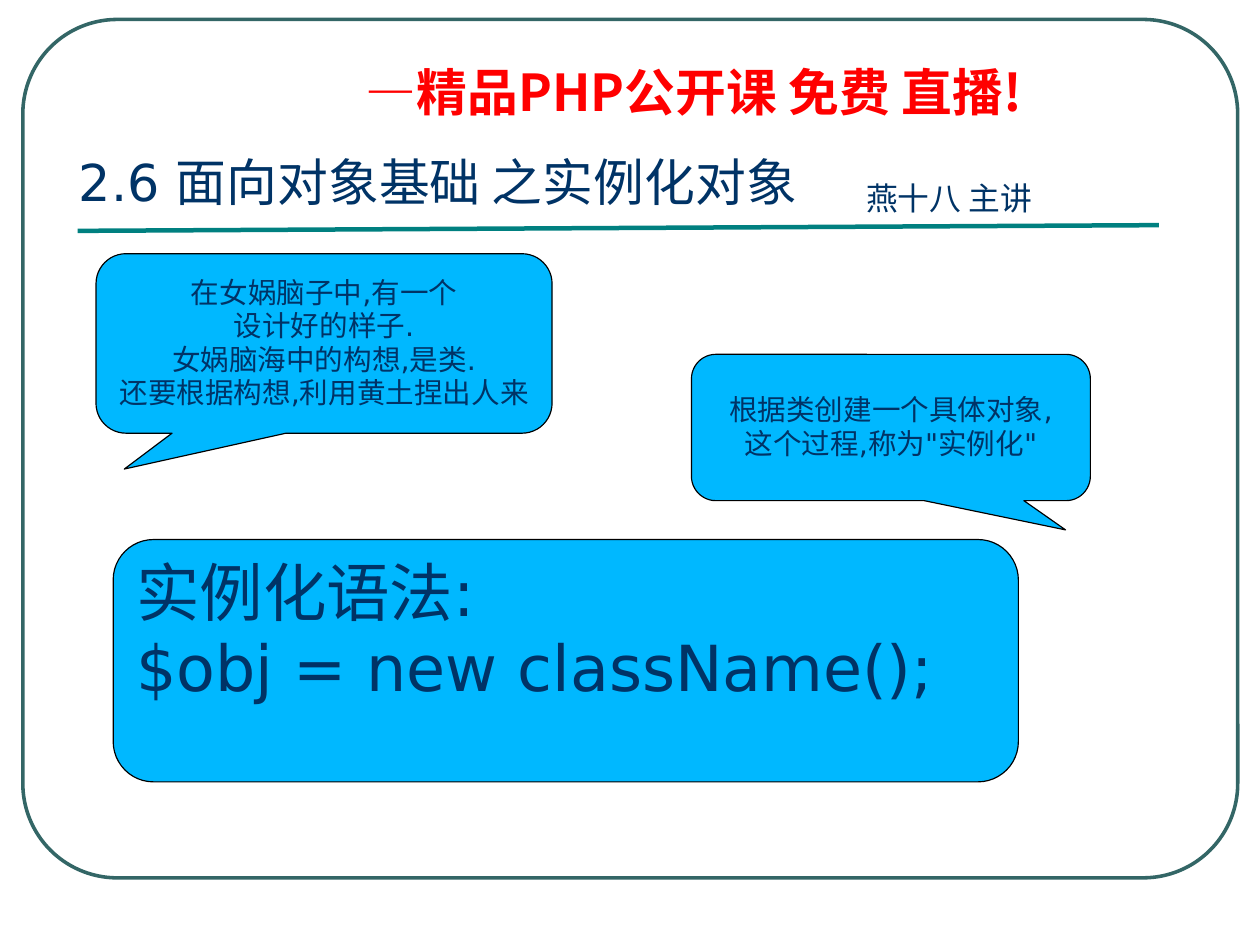
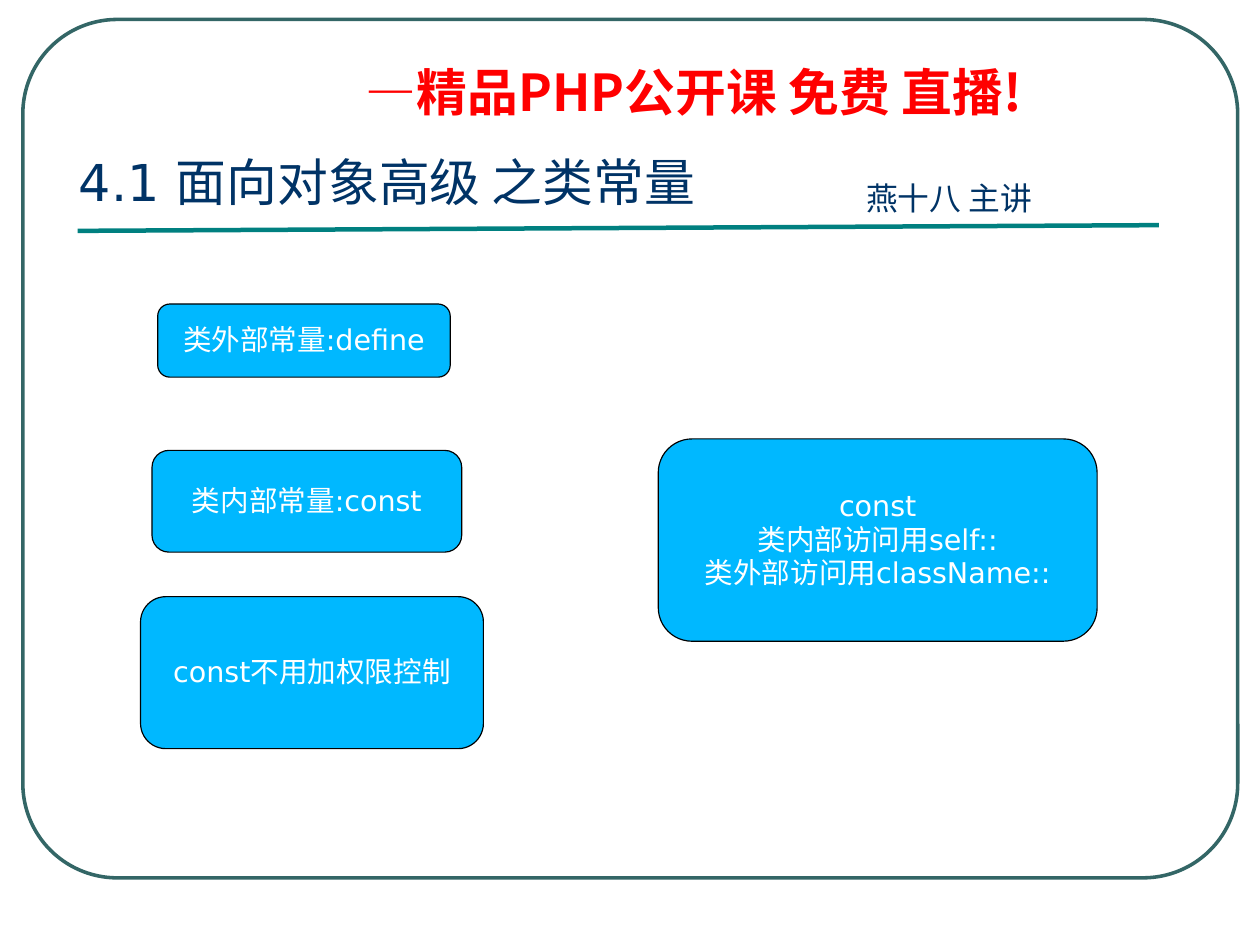
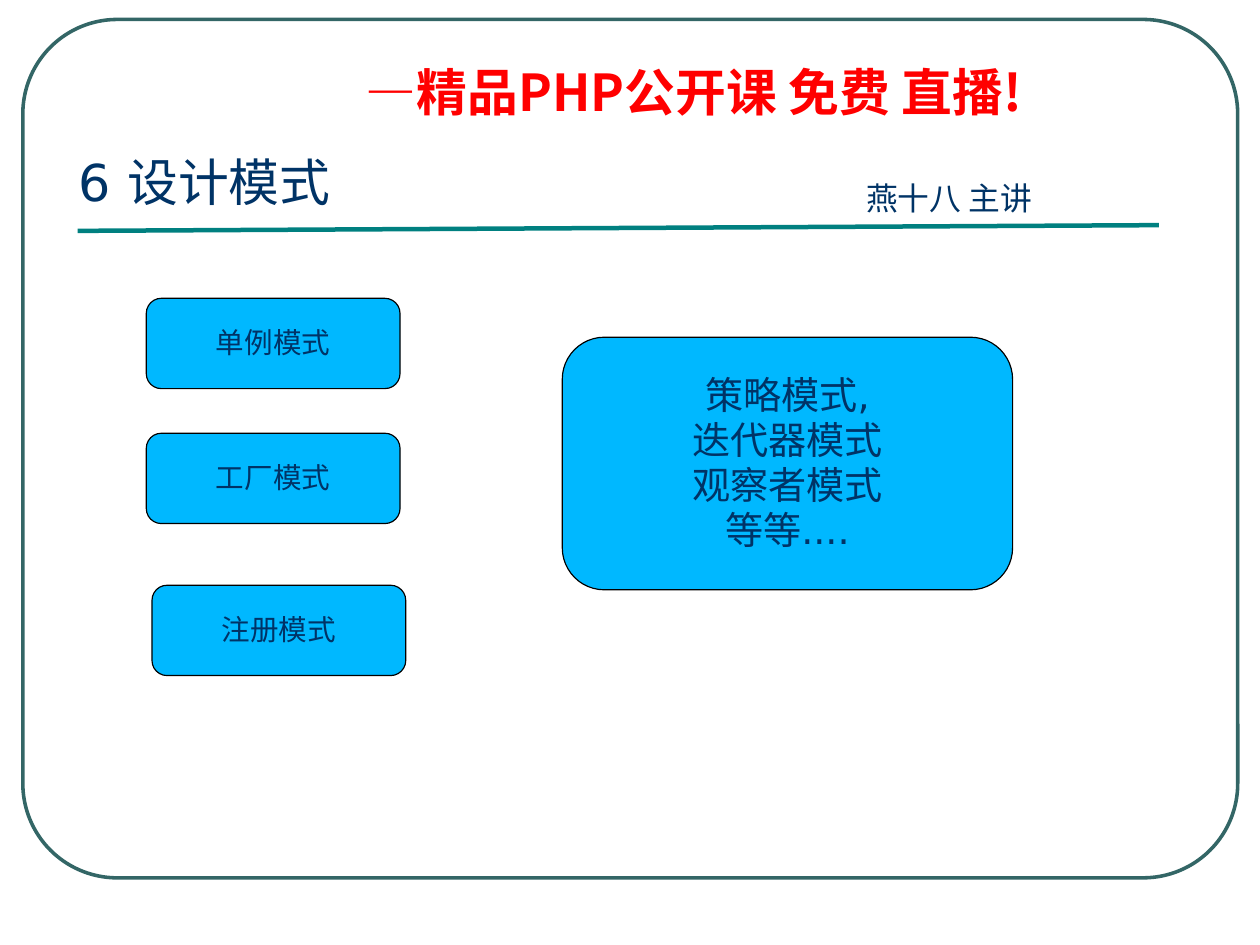
from dataclasses import dataclass

from lxml.etree import SubElement
from pptx import Presentation
from pptx.dml.color import RGBColor
from pptx.enum.shapes import MSO_CONNECTOR as Connector, MSO_SHAPE as Preset
from pptx.enum.text import MSO_ANCHOR as Anchor, MSO_AUTO_SIZE as AutoSize, PP_ALIGN as Align
from pptx.oxml.ns import qn
from pptx.util import Emu, Inches, Pt


@dataclass(frozen=True)
class Theme:
    frame: RGBColor = RGBColor.from_string("336666")
    rule: RGBColor = RGBColor.from_string("008080")
    accent: RGBColor = RGBColor.from_string("FF0000")
    ink: RGBColor = RGBColor.from_string("003366")
    panel: RGBColor = RGBColor.from_string("00B8FF")
    outline: RGBColor = RGBColor.from_string("000000")
    white: RGBColor = RGBColor.from_string("FFFFFF")
    latin: str = "DejaVu Sans"
    chinese: str = "Noto Sans CJK SC"
    title_size: int = 32
    speaker_size: int = 20
    body_size: int = 18
    list_size: int = 24
    syntax_size: int = 40
    line_spacing: float = 0.98


THEME = Theme()


def set_attributes(target, values):
    for name, value in values.items():
        setattr(target, name, value)


def add_run(paragraph, text, size, color, latin=THEME.latin, bold=False):
    run = paragraph.add_run()
    run.text = text
    set_attributes(run.font, {"size": Pt(size), "bold": bold, "name": latin})
    run.font.color.rgb = color
    SubElement(run.font._element, qn("a:ea")).set("typeface", THEME.chinese)


def add_text_box(slide, box, **frame_format):
    """Add an empty text box and return its first paragraph."""
    frame = slide.shapes.add_textbox(*map(Inches, box)).text_frame
    set_attributes(frame, {"word_wrap": True, **frame_format})
    paragraph = frame.paragraphs[0]
    paragraph.line_spacing = THEME.line_spacing
    return paragraph


def add_rule(slide, start, end):
    rule = slide.shapes.add_connector(Connector.STRAIGHT, *map(Inches, start + end))
    rule.line.color.rgb = THEME.rule
    rule.line.width = Pt(2.83)
    SubElement(rule._element.spPr, qn("a:effectLst"))


def add_frame(slide):
    frame = slide.shapes.add_shape(
        Preset.ROUNDED_RECTANGLE, *map(Inches, (0.2, 0.17, 10.63, 7.51)))
    frame.adjustments[0] = 0.11
    frame.shadow.inherit = False
    frame.fill.background()
    frame.line.color.rgb = THEME.frame
    frame.line.width = Pt(2.25)


def add_lesson_slide(presentation, title):
    """Add a blank slide with the frame, rule, banner, speaker and title."""
    slide = presentation.slides.add_slide(presentation.slide_layouts[6])
    add_frame(slide)
    add_rule(slide, (0.68, 2.02), (10.14, 1.97))
    banner = add_text_box(slide, (3.1, 0.54, 6.89, 0.58), auto_size=AutoSize.SHAPE_TO_FIT_TEXT)
    banner.line_spacing = 0.9
    add_run(banner, "—精品PHP公开课 免费 直播!", THEME.title_size, THEME.accent,
            THEME.chinese, bold=True)
    speaker = add_text_box(slide, (7.48, 1.53, 1.86, 0.43), auto_size=AutoSize.SHAPE_TO_FIT_TEXT)
    add_run(speaker, "燕十八 主讲", THEME.speaker_size, THEME.ink, THEME.chinese)
    heading = add_text_box(slide, (0.59, 1.24, 9.89, 0.74), vertical_anchor=Anchor.MIDDLE)
    add_run(heading, title, THEME.title_size, THEME.ink)
    return slide


def add_panel(slide, box, lines, size=THEME.body_size, color=THEME.ink,
              preset=Preset.FLOWCHART_ALTERNATE_PROCESS,
              align=Align.CENTER, anchor=Anchor.MIDDLE):
    panel = slide.shapes.add_shape(preset, *map(Inches, box))
    panel.shadow.inherit = False
    panel.fill.solid()
    panel.fill.fore_color.rgb = THEME.panel
    panel.line.color.rgb = THEME.outline
    panel.line.width = Pt(0.75)
    frame = panel.text_frame
    set_attributes(frame, {"word_wrap": False, "vertical_anchor": anchor})
    for index, line in enumerate(lines):
        paragraph = frame.add_paragraph() if index else frame.paragraphs[0]
        set_attributes(paragraph, {"alignment": align, "line_spacing": THEME.line_spacing})
        add_run(paragraph, line, size, color)
    return panel


def add_callout(slide, box, lines, tail_x):
    callout = add_panel(slide, box, lines, preset=Preset.ROUNDED_RECTANGULAR_CALLOUT)
    for index, value in enumerate((tail_x, 0.7, 0.167)):
        callout.adjustments[index] = value


def build_instantiation(presentation):
    slide = add_lesson_slide(presentation, "2.6 面向对象基础 之实例化对象")
    add_callout(slide, (0.84, 2.22, 3.99, 1.57),
                ("在女娲脑子中,有一个", "设计好的样子.", "女娲脑海中的构想,是类.",
                 "还要根据构想,利用黄土捏出人来"), tail_x=-0.438)
    add_callout(slide, (6.05, 3.1, 3.49, 1.28),
                ("根据类创建一个具体对象,", '这个过程,称为"实例化"'), tail_x=0.438)
    add_panel(slide, (0.99, 4.72, 7.92, 2.12), ("实例化语法:", "$obj = new className();"),
              THEME.syntax_size, align=Align.LEFT, anchor=Anchor.TOP)


def build_class_constants(presentation):
    slide = add_lesson_slide(presentation, "4.1 面向对象高级 之类常量")
    panels = (
        ((1.38, 2.66, 2.56, 0.64), ("类外部常量:define",)),
        ((1.33, 3.94, 2.71, 0.89), ("类内部常量:const",)),
        ((1.23, 5.22, 3, 1.33), ("const不用加权限控制",)),
        ((5.76, 3.84, 3.84, 1.77),
         ("const", "类内部访问用self::", "类外部访问用className::")),
    )
    for box, lines in panels:
        add_panel(slide, box, lines, color=THEME.white)


def build_design_patterns(presentation):
    slide = add_lesson_slide(presentation, "6 设计模式")
    patterns = ((1.28, 2.61, "单例模式"), (1.33, 5.12, "注册模式"), (1.28, 3.79, "工厂模式"))
    for left, top, name in patterns:
        add_panel(slide, (left, top, 2.22, 0.79), (name,))
    add_panel(slide, (4.92, 2.95, 3.94, 2.21),
              ("策略模式,", "迭代器模式", "观察者模式", "等等...."), THEME.list_size)


def main():
    presentation = Presentation()
    presentation.slide_width = Emu(10080625)
    presentation.slide_height = Emu(7559675)
    for build in (build_instantiation, build_class_constants, build_design_patterns):
        build(presentation)
    presentation.save("out.pptx")


if __name__ == "__main__":
    main()
